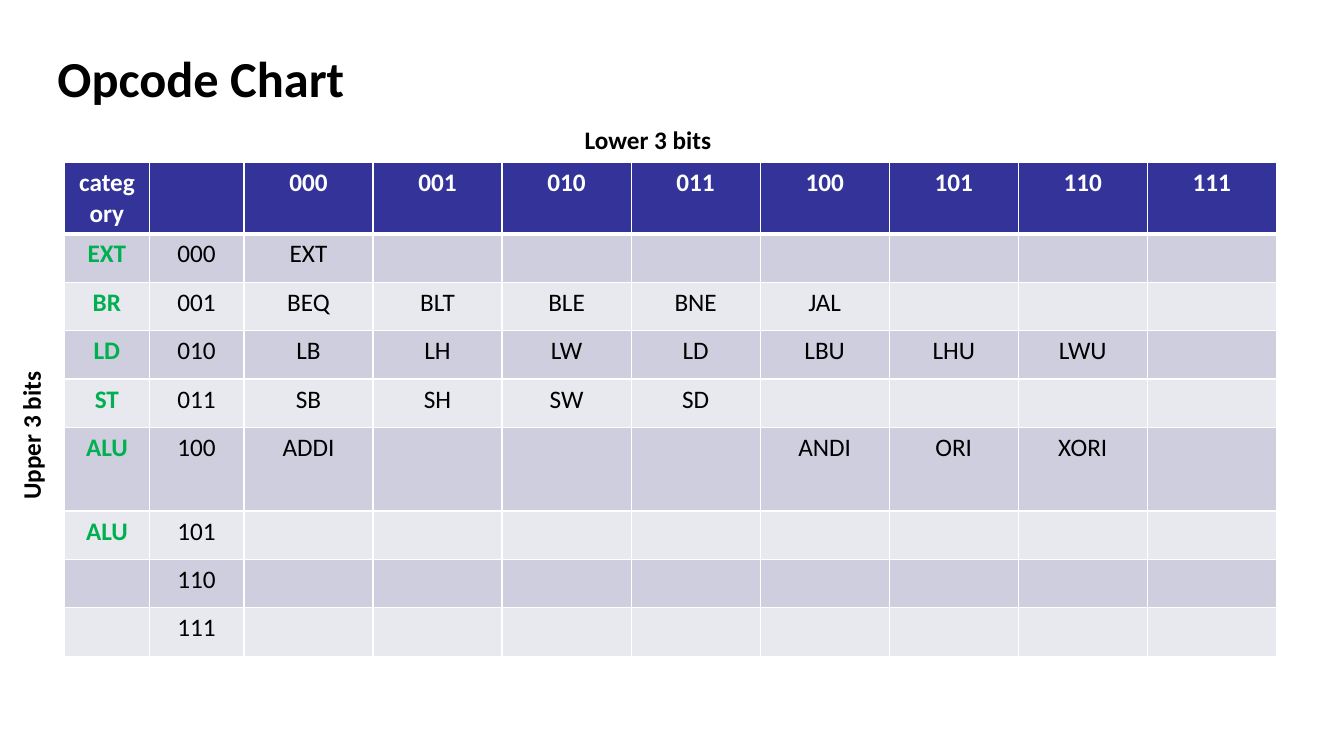
from lxml.etree import SubElement
from pptx import Presentation
from pptx.dml.color import RGBColor
from pptx.enum.text import MSO_ANCHOR, MSO_AUTO_SIZE, PP_ALIGN
from pptx.oxml.ns import qn
from pptx.util import Inches, Pt

FONT = "Calibri"
BLACK = RGBColor(0x00, 0x00, 0x00)
WHITE = RGBColor(0xFF, 0xFF, 0xFF)
GREEN = RGBColor(0x00, 0xB0, 0x50)
NAVY = RGBColor(0x33, 0x33, 0x99)
DARK = RGBColor(0xCE, 0xCE, 0xDE)
LIGHT = RGBColor(0xE8, 0xE8, 0xEF)

# Three-bit codes label both the columns and the rows
BITS = [f"{n:03b}" for n in range(8)]

# Category and opcodes for each value of the upper bits
GROUPS = [
    ("EXT", ["EXT"]),
    ("BR", ["BEQ", "BLT", "BLE", "BNE", "JAL"]),
    ("LD", ["LB", "LH", "LW", "LD", "LBU", "LHU", "LWU"]),
    ("ST", ["SB", "SH", "SW", "SD"]),
    ("ALU", ["ADDI", "", "", "", "ANDI", "ORI", "XORI"]),
    ("ALU", []),
    ("", []),
    ("", []),
]
WIDTHS = [0.84, 0.94] + [1.28] * 8
HEIGHTS = [0.48] * 5 + [0.83] + [0.48] * 3


def add_run(para, text, size=18, color=BLACK, bold=False):
    run = para.add_run()
    run.text = text
    font = run.font
    font.name, font.size, font.bold = FONT, Pt(size), bold
    font.color.rgb = color


def add_title(slide, text):
    title = slide.shapes.title
    title.left, title.top = Inches(0.47), Inches(0.35)
    title.width, title.height = Inches(12), Inches(0.83)
    title.text_frame.vertical_anchor = MSO_ANCHOR.MIDDLE
    para = title.text_frame.paragraphs[0]
    para.alignment = PP_ALIGN.LEFT
    add_run(para, text, 36, bold=True)


def add_label(slide, text, left, top, width, turn=0):
    box = slide.shapes.add_textbox(
        Inches(left), Inches(top), Inches(width), Inches(0.4))
    box.rotation = turn
    frame = box.text_frame
    frame.word_wrap = False
    frame.auto_size = MSO_AUTO_SIZE.SHAPE_TO_FIT_TEXT
    add_run(frame.paragraphs[0], text, bold=True)


def add_edge(cell, side, width):
    props = cell._tc.get_or_add_tcPr()
    line = SubElement(props, qn(f"a:ln{side}"), w=str(Pt(width)))
    fill = SubElement(line, qn("a:solidFill"))
    SubElement(fill, qn("a:srgbClr"), val=str(WHITE))


def fill_cell(cell, text, fill, color, bold, edges):
    for side, width in edges.items():
        add_edge(cell, side, width)
    cell.fill.solid()
    cell.fill.fore_color.rgb = fill
    para = cell.text_frame.paragraphs[0]
    para.alignment = PP_ALIGN.CENTER
    if text:
        add_run(para, text, color=color, bold=bold)


def add_opcodes(slide):
    rows = [["category", ""] + BITS]
    for code, (group, names) in zip(BITS, GROUPS):
        rows.append([group, code] + names + [""] * (8 - len(names)))
    table = slide.shapes.add_table(
        len(rows), len(WIDTHS), Inches(0.64), Inches(1.61),
        Inches(sum(WIDTHS)), Inches(sum(HEIGHTS))).table
    for col, width in zip(table.columns, WIDTHS):
        col.width = Inches(width)
    for row, height in zip(table.rows, HEIGHTS):
        row.height = Inches(height)

    for r, texts in enumerate(rows):
        head = r == 0
        fill = NAVY if head else DARK if r % 2 else LIGHT
        # A thick rule parts the header from the body
        edges = {"L": 1, "R": 1, "T": 3 if r == 1 else 1, "B": 3 if head else 1}
        for c, text in enumerate(texts):
            color = WHITE if head else GREEN if c == 0 else BLACK
            fill_cell(table.cell(r, c), text, fill, color,
                      head or c == 0, edges)


def main():
    deck = Presentation()
    deck.slide_width, deck.slide_height = Inches(13.33), Inches(7.5)
    slide = deck.slides.add_slide(deck.slide_layouts[5])

    # Title and table
    add_title(slide, "Opcode Chart")
    add_opcodes(slide)

    # Axis labels
    add_label(slide, "Lower 3 bits ", 5.7, 1.18, 1.61)
    add_label(slide, "Upper 3 bits ", -0.49, 4.06, 1.59, turn=270)

    deck.save("out.pptx")


main()
